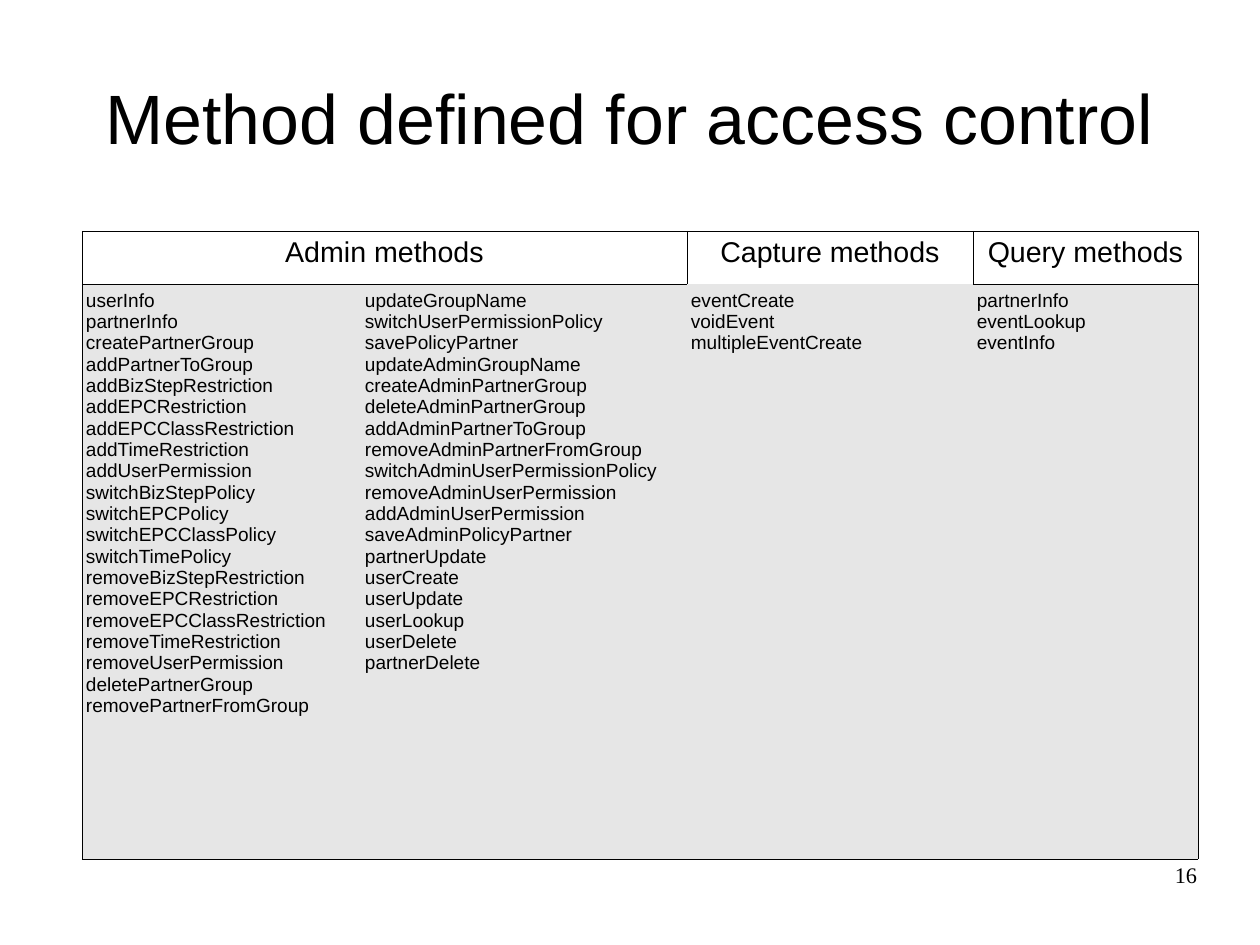
from dataclasses import dataclass
from lxml import etree
from pptx import Presentation
from pptx import util as u
from pptx.dml.color import RGBColor
from pptx.enum import text as t
from pptx.oxml import ns

SCALE = 8000


@dataclass(frozen=True)
class Theme:
    ink: str = "000000"
    head: str = "FFFFFF"
    body: str = "E6E6E6"
    sans: str = "Arial"
    serif: str = "Times New Roman"
    title: int = 44
    label: int = 18
    item: int = 12
    page: int = 14
    line: int = 762


THEME = Theme()
LEFT, MID, RIGHT = t.PP_ALIGN.LEFT, t.PP_ALIGN.CENTER, t.PP_ALIGN.RIGHT
COLS = (279, 326, 286, 225)
ROWS = (53, 575)
SIDES = "LRTB"
HEADS = (
    ("Admin methods", "LRTB"),
    ("", "LRTB"),
    ("Capture methods", "LRT"),
    ("Query methods", "LRTB"),
)
LISTS = (
    ("""userInfo
partnerInfo
createPartnerGroup
addPartnerToGroup
addBizStepRestriction
addEPCRestriction
addEPCClassRestriction
addTimeRestriction
addUserPermission
switchBizStepPolicy
switchEPCPolicy
switchEPCClassPolicy
switchTimePolicy
removeBizStepRestriction
removeEPCRestriction
removeEPCClassRestriction
removeTimeRestriction
removeUserPermission
deletePartnerGroup
removePartnerFromGroup""", "LTB"),
    ("""updateGroupName
switchUserPermissionPolicy
savePolicyPartner
updateAdminGroupName
createAdminPartnerGroup
deleteAdminPartnerGroup
addAdminPartnerToGroup
removeAdminPartnerFromGroup
switchAdminUserPermissionPolicy
removeAdminUserPermission
addAdminUserPermission
saveAdminPolicyPartner
partnerUpdate
userCreate
userUpdate
userLookup
userDelete
partnerDelete""", "TB"),
    ("""eventCreate
voidEvent
multipleEventCreate""", "B"),
    ("""partnerInfo
eventLookup
eventInfo""", "RTB"),
)


def px(n):
    return u.Emu(n * SCALE)


def apply(obj, form):
    for key, val in form.items():
        setattr(obj, key, val)


def write(frame, words, size, align, face=THEME.sans):
    frame.text = words
    for para in frame.paragraphs:
        para.alignment = align
        apply(para.font, {"size": u.Pt(size), "name": face})
        para.font.color.rgb = RGBColor.from_string(THEME.ink)


def label(slide, box, words, size, align, anchor, face):
    frame = slide.shapes.add_textbox(*map(px, box)).text_frame
    apply(frame, {
        "word_wrap": True, "vertical_anchor": anchor,
        "margin_left": 0, "margin_right": 0,
        "margin_top": 0, "margin_bottom": 0,
    })
    write(frame, words, size, align, face)


def edge(cell, drawn):
    props = cell._tc.get_or_add_tcPr()
    for spot, side in enumerate(SIDES):
        line = etree.Element(ns.qn(f"a:ln{side}"), w=str(THEME.line))
        if side in drawn:
            fill = etree.SubElement(line, ns.qn("a:solidFill"))
            etree.SubElement(fill, ns.qn("a:srgbClr"), val=THEME.ink)
        else:
            etree.SubElement(line, ns.qn("a:noFill"))
        props.insert(spot, line)


def fill_cell(cell, words, drawn, size, align, shade):
    apply(cell, {
        "margin_left": px(4), "margin_right": px(4),
        "margin_top": px(6), "margin_bottom": px(6),
        "vertical_anchor": t.MSO_ANCHOR.TOP,
    })
    cell.fill.solid()
    cell.fill.fore_color.rgb = RGBColor.from_string(shade)
    write(cell.text_frame, words, size, align)
    edge(cell, drawn)


def grid(slide, left, top):
    box = (left, top, sum(COLS), sum(ROWS))
    table = slide.shapes.add_table(len(ROWS), len(COLS), *map(px, box)).table
    apply(table, {"first_row": False, "horz_banding": False})
    for col, width in zip(table.columns, COLS):
        col.width = px(width)
    for row, height in zip(table.rows, ROWS):
        row.height = px(height)
    looks = ((HEADS, THEME.label, MID, THEME.head),
             (LISTS, THEME.item, LEFT, THEME.body))
    for r, (cells, size, align, shade) in enumerate(looks):
        for c, (words, drawn) in enumerate(cells):
            fill_cell(table.cell(r, c), words, drawn, size, align, shade)
    table.cell(0, 0).merge(table.cell(0, 1))


def main():
    deck = Presentation()
    apply(deck, {"slide_width": px(1260), "slide_height": px(945)})
    slide = deck.slides.add_slide(deck.slide_layouts[6])
    label(slide, (63, 38, 1134, 158), "Method defined for access control",
          THEME.title, MID, t.MSO_ANCHOR.MIDDLE, THEME.sans)
    grid(slide, 82, 231)
    label(slide, (903, 861, 294, 65), "16",
          THEME.page, RIGHT, t.MSO_ANCHOR.TOP, THEME.serif)
    deck.save("out.pptx")


if __name__ == "__main__":
    main()
